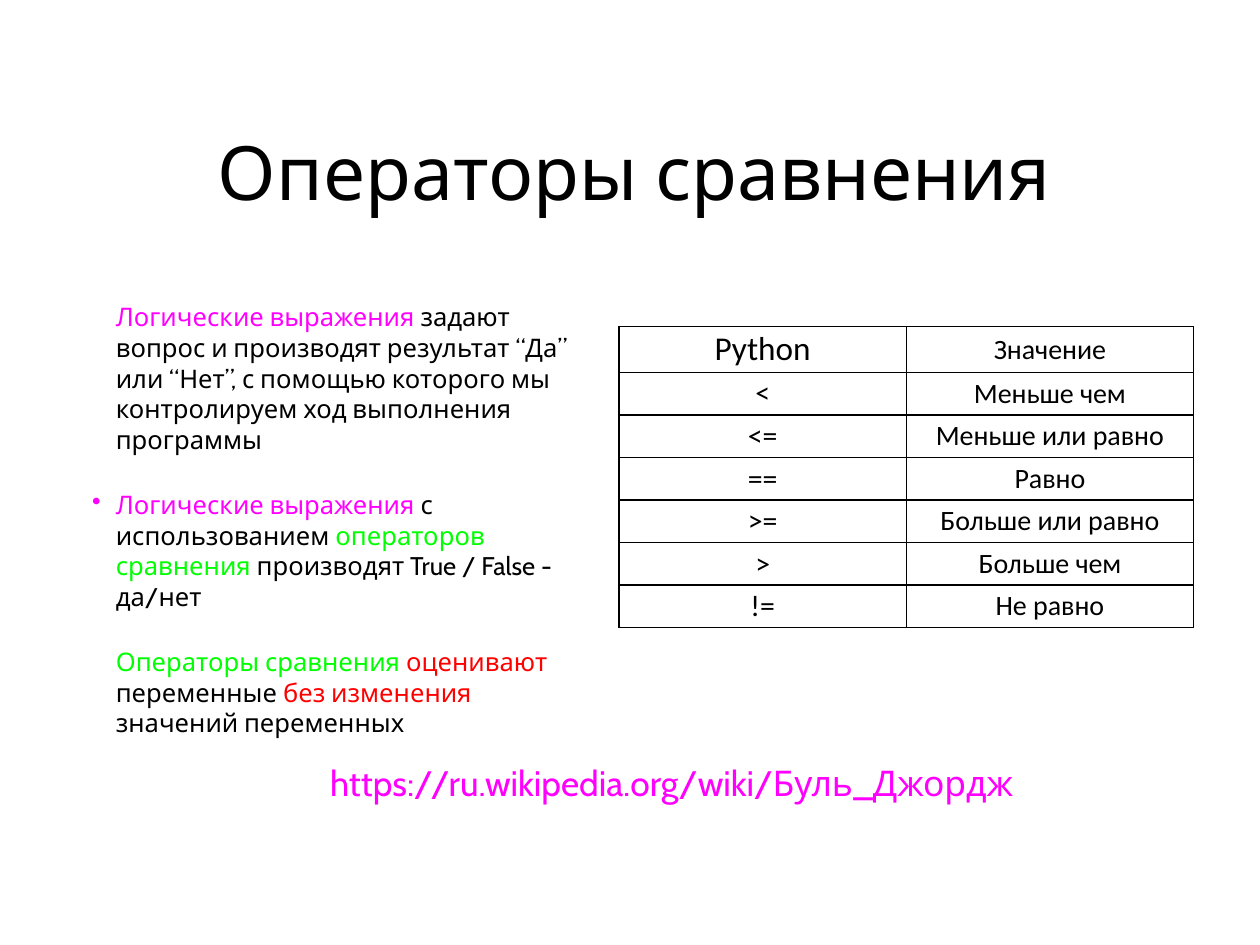
from dataclasses import dataclass

from lxml import etree
from pptx import Presentation
from pptx.dml.color import RGBColor
from pptx.enum.text import MSO_ANCHOR, MSO_AUTO_SIZE, PP_ALIGN
from pptx.oxml.ns import qn
from pptx.util import Pt

MIDDLE = MSO_ANCHOR.MIDDLE
NO_AUTOFIT = MSO_AUTO_SIZE.NONE
CENTER, LEFT = PP_ALIGN.CENTER, PP_ALIGN.LEFT
TITLE_ONLY = 5


@dataclass(frozen=True)
class Theme:
    text_font: str = "Cabin"
    table_font: str = "Calibri"
    ink: str = "000000"
    magenta: str = "FF00FF"
    green: str = "00FF00"
    red: str = "FF0000"
    title_size: float = 42.8
    body_size: float = 14.6
    link_size: float = 20.2
    header_size: float = 19
    operator_size: float = 17
    meaning_size: float = 16
    inset: float = 1.5
    text_indent: float = 33
    bullet_hang: float = 13.5
    paragraph_gap: float = 19.7
    border: float = 1


THEME = Theme()

STATEMENTS = [
    (False, [
        ("Логические выражения ", THEME.magenta),
        ("задают вопрос и производят результат “Да” или “Нет”, "
         "с помощью которого мы контролируем ход выполнения программы", THEME.ink),
    ]),
    (True, [
        ("Логические выражения", THEME.magenta),
        (" с использованием ", THEME.ink),
        ("операторов сравнения ", THEME.green),
        ("производят True / False - да/нет", THEME.ink),
    ]),
    (False, [
        ("Операторы сравнения ", THEME.green),
        ("оценивают ", THEME.red),
        ("переменные ", THEME.ink),
        ("без изменения ", THEME.red),
        ("значений переменных", THEME.ink),
    ]),
]

OPERATORS = [
    ("Python", "Значение"),
    ("<", "Меньше чем"),
    ("<=", "Меньше или равно"),
    ("==", "Равно"),
    (">=", "Больше или равно"),
    (">", "Больше чем"),
    ("!=", "Не равно"),
]


class SlideBuilder:
    def __init__(self, slide, theme):
        self.slide = slide
        self.theme = theme

    def _style(self, paragraph, font, size, color, align=CENTER):
        paragraph.alignment = align
        paragraph.font.name = font
        paragraph.font.size = Pt(size)
        paragraph.font.color.rgb = RGBColor.from_string(color)

    def _set_margins(self, target, inset):
        target.margin_left = target.margin_right = Pt(inset)
        target.margin_top = target.margin_bottom = Pt(inset)
        target.vertical_anchor = MIDDLE

    def _frame(self, shape, inset):
        frame = shape.text_frame
        frame.word_wrap = True
        frame.auto_size = NO_AUTOFIT
        self._set_margins(frame, inset)
        return frame

    def _text_box(self, left, top, width, height, inset):
        box = self.slide.shapes.add_textbox(Pt(left), Pt(top), Pt(width), Pt(height))
        return self._frame(box, inset)

    def title(self, text, left, top, width, height):
        heading = self.slide.shapes.title
        heading.left, heading.top = Pt(left), Pt(top)
        heading.width, heading.height = Pt(width), Pt(height)
        paragraph = self._frame(heading, self.theme.inset).paragraphs[0]
        paragraph.text = text
        self._style(paragraph, self.theme.text_font, self.theme.title_size, self.theme.ink)

    def link(self, address, left, top, width, height):
        paragraph = self._text_box(left, top, width, height, 0).paragraphs[0]
        paragraph.text = address
        self._style(paragraph, self.theme.text_font, self.theme.link_size, self.theme.magenta)

    def _indent(self, paragraph, bulleted):
        """Align the text at one indent, with a hanging bullet where wanted."""
        hang = self.theme.bullet_hang if bulleted else 0
        properties = paragraph._p.get_or_add_pPr()
        properties.set("marL", str(Pt(self.theme.text_indent)))
        properties.set("indent", str(-Pt(hang)))
        if bulleted:
            bullet_color = etree.SubElement(properties, qn("a:buClr"))
            etree.SubElement(bullet_color, qn("a:srgbClr"), val=self.theme.magenta)
            etree.SubElement(properties, qn("a:buChar"), char="•")
        else:
            etree.SubElement(properties, qn("a:buNone"))

    def statements(self, items, left, top, width, height):
        frame = self._text_box(left, top, width, height, self.theme.inset)
        for index, (bulleted, phrases) in enumerate(items):
            paragraph = frame.add_paragraph() if index else frame.paragraphs[0]
            self._indent(paragraph, bulleted)
            if index:
                paragraph.space_before = Pt(self.theme.paragraph_gap)
            self._style(paragraph, self.theme.text_font, self.theme.body_size,
                        self.theme.ink, LEFT)
            for words, color in phrases:
                run = paragraph.add_run()
                run.text = words
                run.font.color.rgb = RGBColor.from_string(color)

    def _outline(self, cell):
        properties = cell._tc.get_or_add_tcPr()
        for side in ("lnL", "lnR", "lnT", "lnB"):
            line = etree.SubElement(properties, qn(f"a:{side}"), w=str(Pt(self.theme.border)))
            fill = etree.SubElement(line, qn("a:solidFill"))
            etree.SubElement(fill, qn("a:srgbClr"), val=self.theme.ink)

    def _cell_size(self, row, column):
        if column:
            return self.theme.meaning_size
        return self.theme.operator_size if row else self.theme.header_size

    def table(self, rows, left, top, width, header_height, row_height):
        heights = [header_height] + [row_height] * (len(rows) - 1)
        table = self.slide.shapes.add_table(
            len(rows), len(rows[0]), Pt(left), Pt(top), Pt(width), Pt(sum(heights))).table
        table.first_row = table.horz_banding = False
        for row, (texts, height) in enumerate(zip(rows, heights)):
            table.rows[row].height = Pt(height)
            for column, text in enumerate(texts):
                cell = table.cell(row, column)
                self._set_margins(cell, self.theme.inset)
                self._outline(cell)
                cell.fill.background()
                paragraph = cell.text_frame.paragraphs[0]
                paragraph.text = text
                self._style(paragraph, self.theme.table_font,
                            self._cell_size(row, column), self.theme.ink)


def main():
    presentation = Presentation()
    presentation.slide_width, presentation.slide_height = Pt(720), Pt(540)
    slide = presentation.slides.add_slide(presentation.slide_layouts[TITLE_ONLY])
    builder = SlideBuilder(slide, THEME)
    builder.title("Операторы сравнения", 54, 55.5, 617, 83.5)
    builder.statements(STATEMENTS, 31.7, 170.6, 306, 252.7)
    builder.link("https://ru.wikipedia.org/wiki/Буль_Джордж", 183.6, 433.4, 400.4, 27.4)
    builder.table(OPERATORS, 353.7, 186.6, 328.4, 26.3, 24.3)
    presentation.save("out.pptx")


if __name__ == "__main__":
    main()
